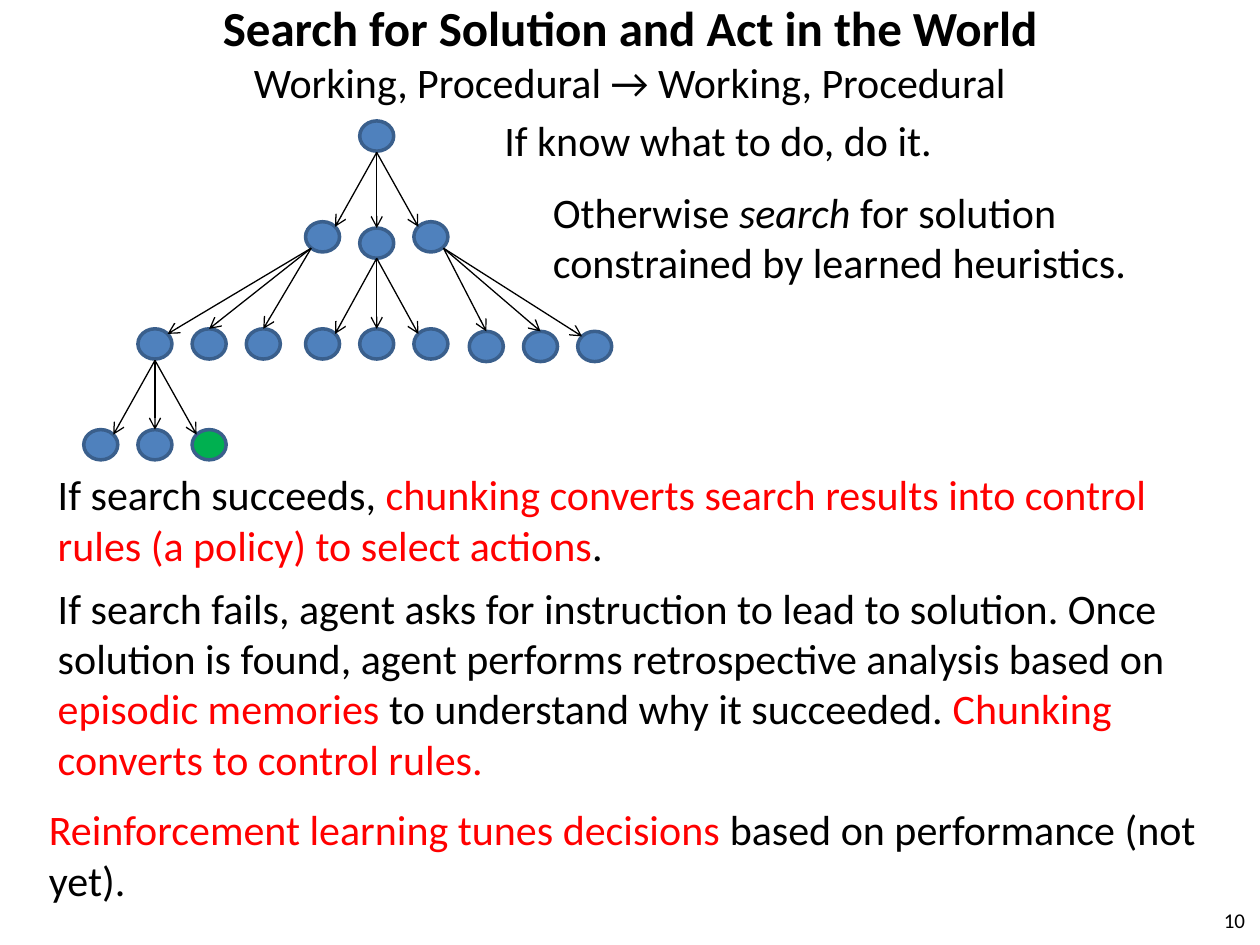
from lxml import etree
from pptx import Presentation
from pptx import util as u
from pptx.dml.color import RGBColor
from pptx.enum import shapes, text
from pptx.oxml.ns import qn

BLACK = RGBColor(0, 0, 0)
RED = RGBColor(0xFF, 0, 0)
BLUE = RGBColor(0x4F, 0x81, 0xBD)
OUTLINE = RGBColor(0x3A, 0x5F, 0x8C)
GREEN = RGBColor(0, 0xB0, 0x50)

deck = Presentation()
deck.slide_width, deck.slide_height = u.Inches(10), u.Inches(7.5)
page = deck.slides.add_slide(deck.slide_layouts[5])


def add_text(left, top, width, height, spans, align=text.PP_ALIGN.LEFT, size=24):
    box = page.shapes.add_textbox(*map(u.Inches, (left, top, width, height)))
    box.text_frame.word_wrap = True
    para = box.text_frame.paragraphs[0]
    para.alignment = align
    para.font.size, para.font.name = u.Pt(size), "Calibri"
    for words, color, italic in spans:
        span = para.add_run()
        span.text = words
        span.font.color.rgb = color
        if italic:
            span.font.italic = True
    return box


def add_node(x, y, color=BLUE):
    width, height = 0.27, 0.24
    node = page.shapes.add_shape(
        shapes.MSO_SHAPE.OVAL,
        *map(u.Inches, (x - width / 2, y - height / 2, width, height)))
    node.shadow.inherit = False
    node.fill.solid()
    node.fill.fore_color.rgb = color
    node.line.color.rgb = OUTLINE
    node.line.width = u.Pt(2)


# Title with a lighter second line
title = page.shapes.title
title.left, title.top = 0, 0
title.width, title.height = deck.slide_width, u.Inches(0.83)
title.text_frame.auto_size = text.MSO_AUTO_SIZE.NONE
title.text_frame.vertical_anchor = text.MSO_ANCHOR.MIDDLE
para = title.text_frame.paragraphs[0]
para.alignment = text.PP_ALIGN.CENTER
para.font.name, para.font.color.rgb = "Calibri", BLACK
for words, size, bold in (("Search for Solution and Act in the World", 28, True),
                          ("Working, Procedural → Working, Procedural", 24, False)):
    if para.runs:
        para.add_line_break()
    span = para.add_run()
    span.text = words
    span.font.size, span.font.bold = u.Pt(size), bold

# Search tree: each family is the parent's exit point, then its children
STEP = 0.43
MIDDLE = 2.99
families = [
    ((MIDDLE, 1.21), MIDDLE, (1.88, 1.93, 1.88)),
    ((2.47, 1.97), 1.66, (2.73,) * 3),
    ((MIDDLE, 2.05), MIDDLE, (2.73,) * 3),
    ((3.52, 1.97), 4.29, (2.75,) * 3),
    ((1.23, 2.86), 1.23, (3.53,) * 3),
]
add_node(MIDDLE, 1.08)
for (start_x, start_y), center, rows in families:
    children = [(center + STEP * (i - 1), y) for i, y in enumerate(rows)]
    reach = max(abs(x - start_x) for x, y in children)
    for x, y in children:
        solution = y == 3.53 and x > center
        add_node(x, y, GREEN if solution else BLUE)
        # The outermost children are met at the near corner, others on top
        end_x, end_y = x, y - 0.12
        if abs(x - start_x) > reach - 0.01:
            end_x, end_y = x + (0.1 if x < start_x else -0.1), y - 0.08
        arrow = page.shapes.add_connector(
            shapes.MSO_CONNECTOR.STRAIGHT,
            *map(u.Inches, (start_x, start_y, end_x, end_y)))
        arrow.line.color.rgb = BLACK
        arrow.line.width = u.Pt(0.75)
        properties = arrow.line._get_or_add_ln()
        etree.SubElement(properties, qn("a:tailEnd"), type="arrow")
        etree.SubElement(properties.getparent(), qn("a:effectLst"))

# Explanations beside the tree
add_text(3.08, 0.86, 5.24, 0.5, [("If know what to do, do it.", BLACK, False)],
         text.PP_ALIGN.CENTER)
add_text(4.29, 1.43, 5.24, 0.91, [
    ("Otherwise ", BLACK, False),
    ("search", BLACK, True),
    (" for solution constrained by learned heuristics.", BLACK, False)])

# Outcomes below the tree
add_text(0.36, 3.67, 9.28, 0.91, [
    ("If search succeeds, ", BLACK, False),
    ("chunking converts search results into control rules (a policy) "
     "to select actions", RED, False),
    (".", BLACK, False)])
add_text(0.36, 4.57, 9.28, 1.72, [
    ("If search fails, agent asks for instruction to lead to solution. Once solution "
     "is found, agent performs retrospective analysis based on ", BLACK, False),
    ("episodic memories ", RED, False),
    ("to understand why it succeeded. ", BLACK, False),
    ("Chunking converts to control rules.", RED, False)])
add_text(0.29, 6.33, 9.71, 0.91, [
    ("Reinforcement learning tunes decisions ", RED, False),
    ("based on performance (not yet).", BLACK, False)])

# Page number
number = add_text(7.65, 7.1, 2.33, 0.4, [("10", BLACK, False)],
                  text.PP_ALIGN.RIGHT, 12)
number.text_frame.vertical_anchor = text.MSO_ANCHOR.MIDDLE

deck.save("out.pptx")
